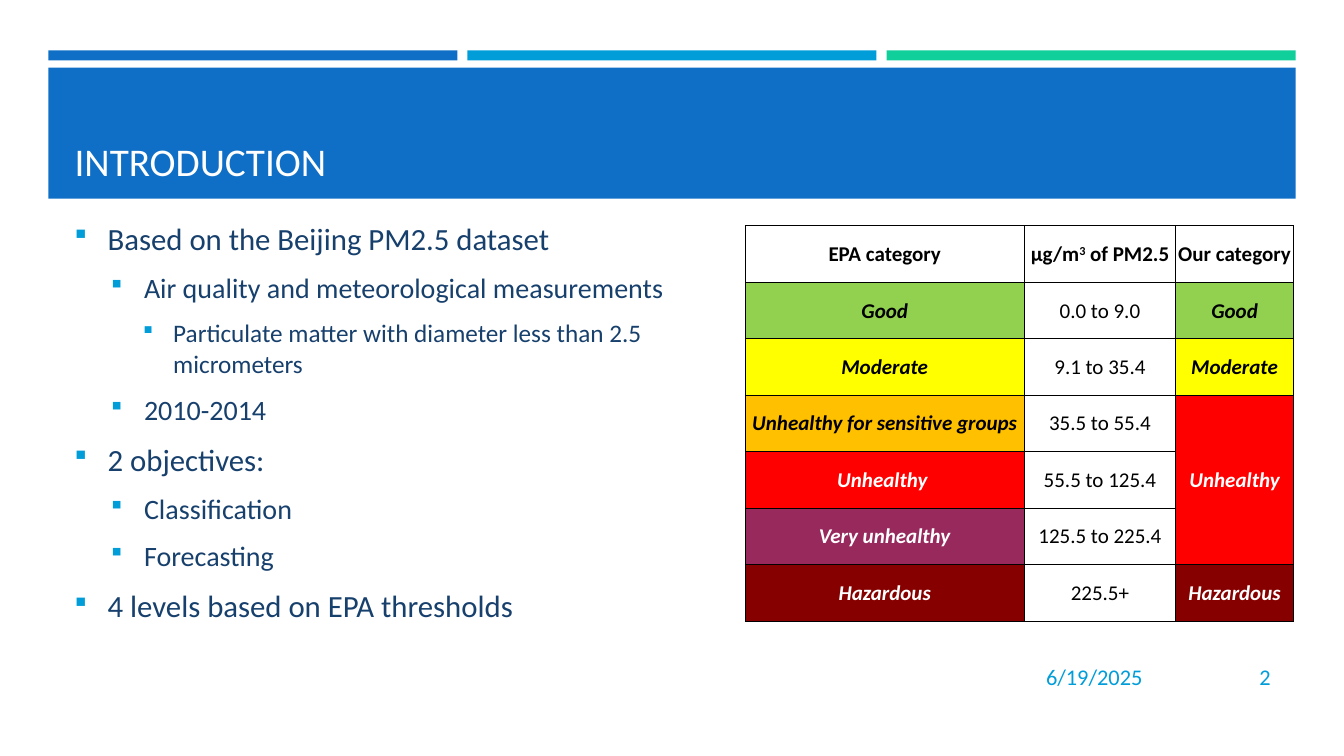
import pptx
import pptx.util
import pptx.dml.color
import pptx.enum.shapes
import pptx.enum.text
import pptx.oxml
import pptx.oxml.ns
from lxml import etree

Inches, Pt = pptx.util.Inches, pptx.util.Pt
ALIGN, ANCHOR = pptx.enum.text.PP_ALIGN, pptx.enum.text.MSO_ANCHOR
FONT = "Calibri"
COLORS = {
    "blue": "0F6FC6", "cyan": "009DD9", "mint": "10CF9B", "navy": "17406D",
    "white": "FFFFFF", "black": "000000", "good": "92D050", "moderate": "FFFF00",
    "sensitive": "FFC000", "unhealthy": "FF0000", "very": "97295D", "hazardous": "860000",
}
LEVELS = [
    {"size": 22, "left": 0.33, "hang": 0.33},
    {"size": 20, "left": 0.69, "hang": 0.33},
    {"size": 18, "left": 0.98, "hang": 0.3},
]
BULLETS = [
    (0, "Based on the Beijing PM2.5 dataset"),
    (1, "Air quality and meteorological measurements"),
    (2, "Particulate matter with diameter less than 2.5 micrometers"),
    (1, "2010-2014"),
    (0, "2 objectives:"),
    (1, "Classification"),
    (1, "Forecasting"),
    (0, "4 levels based on EPA thresholds"),
]
HEADERS = [["EPA category"], ["μg/m", "3", " of PM2.5"], ["Our category"]]
CATEGORIES = [
    ("Good", "0.0 to 9.0", "Good", "good", "black"),
    ("Moderate", "9.1 to 35.4", "Moderate", "moderate", "black"),
    ("Unhealthy for sensitive groups", "35.5 to 55.4", "Unhealthy", "sensitive", "black"),
    ("Unhealthy ", "55.5 to 125.4", None, "unhealthy", "white"),
    ("Very unhealthy", "125.5 to 225.4", None, "very", "white"),
    ("Hazardous", "225.5+", "Hazardous", "hazardous", "white"),
]


def rgb(name):
    """Return the named colour."""
    return pptx.dml.color.RGBColor.from_string(COLORS[name])


def set_attrs(obj, values):
    """Set each attribute in a dict of format values."""
    for key, value in values.items():
        setattr(obj, key, value)


def add_run(p, text, size, color, **style):
    """Add a formatted run to a paragraph."""
    r = p.add_run()
    r.text = text
    set_attrs(r.font, {"name": FONT, "size": Pt(size), **style})
    r.font.color.rgb = rgb(color)
    return r


def add_bar(s, x, y, w, h, color):
    """Draw a plain filled rectangle."""
    sp = s.shapes.add_shape(pptx.enum.shapes.MSO_SHAPE.RECTANGLE,
                            Inches(x), Inches(y), Inches(w), Inches(h))
    sp.shadow.inherit = False
    sp.fill.solid()
    sp.fill.fore_color.rgb = rgb(color)
    sp.line.fill.background()


def add_text(s, x, y, w, h, anchor):
    """Add a wrapping text box and return its frame."""
    tf = s.shapes.add_textbox(Inches(x), Inches(y), Inches(w), Inches(h)).text_frame
    set_attrs(tf, {"word_wrap": True, "vertical_anchor": anchor})
    return tf


def add_header(s, x, y, w):
    """Draw the three accent bars and the title band, with the title in front."""
    gap = 0.1
    bar = (w - 2 * gap) / 3
    for i, color in enumerate(("blue", "cyan", "mint")):
        add_bar(s, x + i * (bar + gap), y, bar, 0.1, color)
    add_bar(s, x, y + 0.17, w, 1.3, "blue")
    title = s.shapes.title
    title.element.getparent().append(title.element)
    set_attrs(title, {"left": Inches(x + 0.16), "top": Inches(y + 0.27),
                      "width": Inches(w - 0.31), "height": Inches(1.11)})
    tf = title.text_frame
    set_attrs(tf, {"word_wrap": True, "vertical_anchor": ANCHOR.BOTTOM,
                   "auto_size": pptx.enum.text.MSO_AUTO_SIZE.NONE})
    p = tf.paragraphs[0]
    p.alignment = ALIGN.LEFT
    add_run(p, "INTRODUCTION", 28, "white")


def add_bullets(s, x, y, w, h):
    """Write the nested bullet list."""
    tf = add_text(s, x, y, w, h, ANCHOR.TOP)
    for i, (level, text) in enumerate(BULLETS):
        style = LEVELS[level]
        p = tf.paragraphs[0] if i == 0 else tf.add_paragraph()
        set_attrs(p, {"level": level, "space_after": Pt(6)})
        if i:
            p.space_before = Pt(0.2 * style["size"])
        pPr = p._p.get_or_add_pPr()
        pPr.set("marL", str(Inches(style["left"])))
        pPr.set("indent", str(-Inches(style["hang"])))
        color = etree.SubElement(pPr, pptx.oxml.ns.qn("a:buClr"))
        etree.SubElement(color, pptx.oxml.ns.qn("a:srgbClr"), val=COLORS["cyan"])
        etree.SubElement(pPr, pptx.oxml.ns.qn("a:buSzPct"), val="92000")
        etree.SubElement(pPr, pptx.oxml.ns.qn("a:buFont"), typeface="Wingdings",
                         pitchFamily="2", charset="2")
        etree.SubElement(pPr, pptx.oxml.ns.qn("a:buChar"), char="§")
        add_run(p, text, style["size"], "navy")


def format_cell(cell, fill=None):
    """Set a cell's borders, fill, margins and alignment."""
    tcPr = cell._tc.get_or_add_tcPr()
    for side in ("lnL", "lnR", "lnT", "lnB"):
        ln = etree.SubElement(tcPr, pptx.oxml.ns.qn("a:" + side), w=str(Pt(0.5)))
        solid = etree.SubElement(ln, pptx.oxml.ns.qn("a:solidFill"))
        etree.SubElement(solid, pptx.oxml.ns.qn("a:srgbClr"), val=COLORS["black"])
    if fill:
        cell.fill.solid()
        cell.fill.fore_color.rgb = rgb(fill)
    else:
        cell.fill.background()
    set_attrs(cell, {"margin_left": Inches(0.01), "margin_right": Inches(0.01),
                     "margin_top": Inches(0.01), "margin_bottom": 0,
                     "vertical_anchor": ANCHOR.MIDDLE})
    p = cell.text_frame.paragraphs[0]
    p.alignment = ALIGN.CENTER
    return p


def add_category_table(s, x, y, w, h):
    """Build the table that maps EPA categories to ours."""
    rows = len(CATEGORIES) + 1
    table = s.shapes.add_table(rows, 3, Inches(x), Inches(y), Inches(w), Inches(h)).table
    for column, width in zip(table.columns, (2.77, 1.5, 1.17)):
        column.width = Inches(width)
    for row in table.rows:
        row.height = Inches(h / rows)
    for col, parts in enumerate(HEADERS):
        p = format_cell(table.cell(0, col))
        for text in parts:
            r = add_run(p, text, 15, "black", bold=True)
            if text == "3":
                r._r.get_or_add_rPr().set("baseline", "30000")
    for i, (epa, limits, ours, fill, color) in enumerate(CATEGORIES, 1):
        merged = ours in (None, "Unhealthy")
        p = format_cell(table.cell(i, 0), fill)
        add_run(p, epa, 15, color, bold=True, italic=True)
        add_run(format_cell(table.cell(i, 1)), limits, 15, "black", bold=False)
        p = format_cell(table.cell(i, 2), "unhealthy" if merged else fill)
        if ours:
            add_run(p, ours, 15, "white" if merged else color, bold=True, italic=True)
    table.cell(3, 2).merge(table.cell(5, 2))


def add_footer(s, x, y, w, h):
    """Write the date and the slide number."""
    number_w = 1.15
    for left, width, text in ((x, 3.11, "6/19/2025"), (x + w - number_w, number_w, "2")):
        p = add_text(s, left, y, width, h, ANCHOR.MIDDLE).paragraphs[0]
        p.alignment = ALIGN.RIGHT
        add_run(p, text, 16, "cyan")


def main():
    """Build and save the slide."""
    prs = pptx.Presentation()
    set_attrs(prs, {"slide_width": Inches(13.33), "slide_height": Inches(7.5)})
    s = prs.slides.add_slide(prs.slide_layouts[5])
    add_header(s, 0.48, 0.5, 12.37)
    add_bullets(s, 0.64, 2.13, 6.76, 4.26)
    add_footer(s, 8.32, 6.51, 4.38, 0.4)
    add_category_table(s, 7.39, 2.24, 5.44, 3.92)
    prs.save("out.pptx")


if __name__ == "__main__":
    main()
